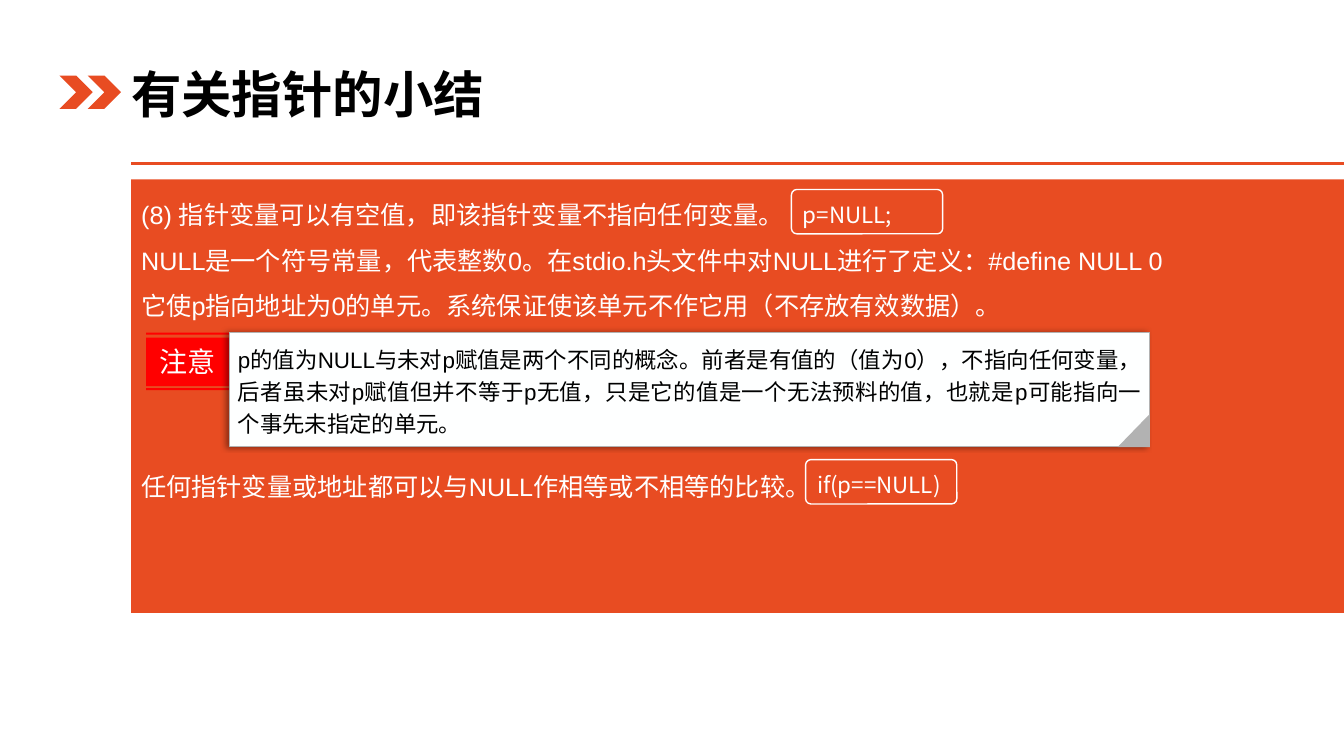
"""Builds a slide that sums up NULL pointers in C."""
from lxml import etree
from pptx import Presentation
from pptx import util as u
from pptx.dml.color import RGBColor
from pptx.enum import shapes, text
from pptx.oxml import ns

ORANGE, WHITE, BLACK, GREY, RED = "E84C22", "FEFFFF", "000000", "B2B2B2", "FF0000"
CJK = "Noto Sans CJK SC"


def paint(shape, fill=None, line=None, width=1):
    """Set fill and outline, and drop the shadow."""
    shape.shadow.inherit = False
    for part, colour in ((shape.fill, fill), (shape.line.fill, line)):
        if colour:
            part.solid()
            part.fore_color.rgb = RGBColor.from_string(colour)
        else:
            part.background()
    if line:
        shape.line.width = u.Pt(width)


def write(shape, words, size, colour, latin=CJK, spacing=1.0,
          align=text.PP_ALIGN.LEFT, anchor=text.MSO_ANCHOR.TOP):
    """Set the text and format its paragraphs and runs."""
    frame = shape.text_frame
    frame.text = words
    frame.word_wrap = True
    frame.auto_size = text.MSO_AUTO_SIZE.NONE
    frame.vertical_anchor = anchor
    for paragraph in frame.paragraphs:
        paragraph.alignment = align
        paragraph.line_spacing = spacing
        paragraph.space_before = u.Pt(0)
        for run in paragraph.runs:
            run.font.size = u.Pt(size)
            run.font.name = latin
            run.font.color.rgb = RGBColor.from_string(colour)
            etree.SubElement(run.font._element, ns.qn("a:ea"), typeface=CJK)


deck = Presentation()
deck.slide_width, deck.slide_height = u.Inches(13.33), u.Inches(7.5)
slide = deck.slides.add_slide(deck.slide_layouts[1])
items = slide.shapes

heading, summary = slide.placeholders
heading.left, heading.top = u.Inches(1.2), u.Inches(0.53)
heading.width, heading.height = u.Inches(5.94), u.Inches(0.79)
write(heading, "有关指针的小结", 36, BLACK, anchor=text.MSO_ANCHOR.MIDDLE)
heading.text_frame.paragraphs[0].runs[0].font.bold = True

summary.left, summary.top = u.Inches(1.3), u.Inches(1.78)
summary.width, summary.height = u.Inches(12.03), u.Inches(4.3)
paint(summary, ORANGE)
write(summary, "\n".join((
    "(8) 指针变量可以有空值，即该指针变量不指向任何变量。",
    "NULL是一个符号常量，代表整数0。在stdio.h头文件中对NULL进行了定义：#define NULL 0",
    "它使p指向地址为0的单元。系统保证使该单元不作它用（不存放有效数据）。",
    "任何指针变量或地址都可以与NULL作相等或不相等的比较。",
)), 18, "FFFFFF", "Arial", 1.5)
for point in summary.text_frame.paragraphs:
    properties = point._p.get_or_add_pPr()
    properties.set("marL", "0")
    properties.set("indent", "0")
    etree.SubElement(properties, ns.qn("a:buNone"))
summary.text_frame.paragraphs[-1].space_before = u.Pt(97)

rule = items.add_connector(shapes.MSO_CONNECTOR.STRAIGHT, u.Inches(1.3), u.Inches(1.62),
                           u.Inches(13.33), u.Inches(1.62))
rule.line.color.rgb = RGBColor.from_string(ORANGE)
rule.line.width = u.Pt(2.25)
etree.SubElement(rule._element.spPr, ns.qn("a:effectLst"))

for left in (0.59, 0.87):
    chevron = items.add_shape(shapes.MSO_SHAPE.CHEVRON, u.Inches(left), u.Inches(0.75),
                              u.Inches(0.33), u.Inches(0.33))
    paint(chevron, ORANGE)

for code, left, top in (("p=NULL;", 7.85, 1.88), ("if(p==NULL)", 7.99, 4.56)):
    snippet = items.add_shape(shapes.MSO_SHAPE.ROUNDED_RECTANGLE, u.Inches(left),
                              u.Inches(top), u.Inches(1.5), u.Inches(0.44))
    snippet.adjustments[0] = 0.12
    paint(snippet, line="FFFFFF")
    write(snippet, code, 16, "FFFFFF", spacing=1.2)

tag_left, tag_right = u.Inches(1.45), u.Inches(2.27)
outline = items.build_freeform(tag_left, u.Inches(3.3))
for top, bottom in ((3.3, 3.32), (3.35, 3.83), (3.85, 3.87)):
    upper, lower = u.Inches(top), u.Inches(bottom)
    outline.move_to(tag_left, upper)
    outline.add_line_segments(((tag_right, upper), (tag_right, lower), (tag_left, lower)))
tag = outline.convert_to_shape()
paint(tag, RED)
write(tag, "注意", 20, WHITE, align=text.PP_ALIGN.CENTER, anchor=text.MSO_ANCHOR.MIDDLE)

note = items.add_shape(shapes.MSO_SHAPE.RECTANGLE, u.Inches(2.28), u.Inches(3.3),
                       u.Inches(9.12), u.Inches(1.13))
paint(note, WHITE, GREY, 0.75)
shadow = etree.SubElement(note._element.spPr.find(ns.qn("a:effectLst")), ns.qn("a:outerShdw"),
                          blurRad=str(u.Pt(4)), dist=str(u.Pt(3)), dir="10800000")
shade = etree.SubElement(shadow, ns.qn("a:srgbClr"), val=BLACK)
etree.SubElement(shade, ns.qn("a:alpha"), val="40000")
write(note, "p的值为NULL与未对p赋值是两个不同的概念。前者是有值的（值为0），不指向任何变量，"
      "后者虽未对p赋值但并不等于p无值，只是它的值是一个无法预料的值，"
      "也就是p可能指向一个事先未指定的单元。",
      16, BLACK, "Arial", 1.2, text.PP_ALIGN.JUSTIFY)
margins = note.text_frame
margins.margin_left = margins.margin_right = u.Inches(0.08)
margins.margin_top = margins.margin_bottom = u.Inches(0.08)
margins.paragraphs[0].space_after = u.Pt(6)

corner = items.add_shape(shapes.MSO_SHAPE.RIGHT_TRIANGLE, u.Inches(11.08), u.Inches(4.11),
                         u.Inches(0.33), u.Inches(0.32))
corner.rotation = 270
paint(corner, GREY)

deck.save("out.pptx")
